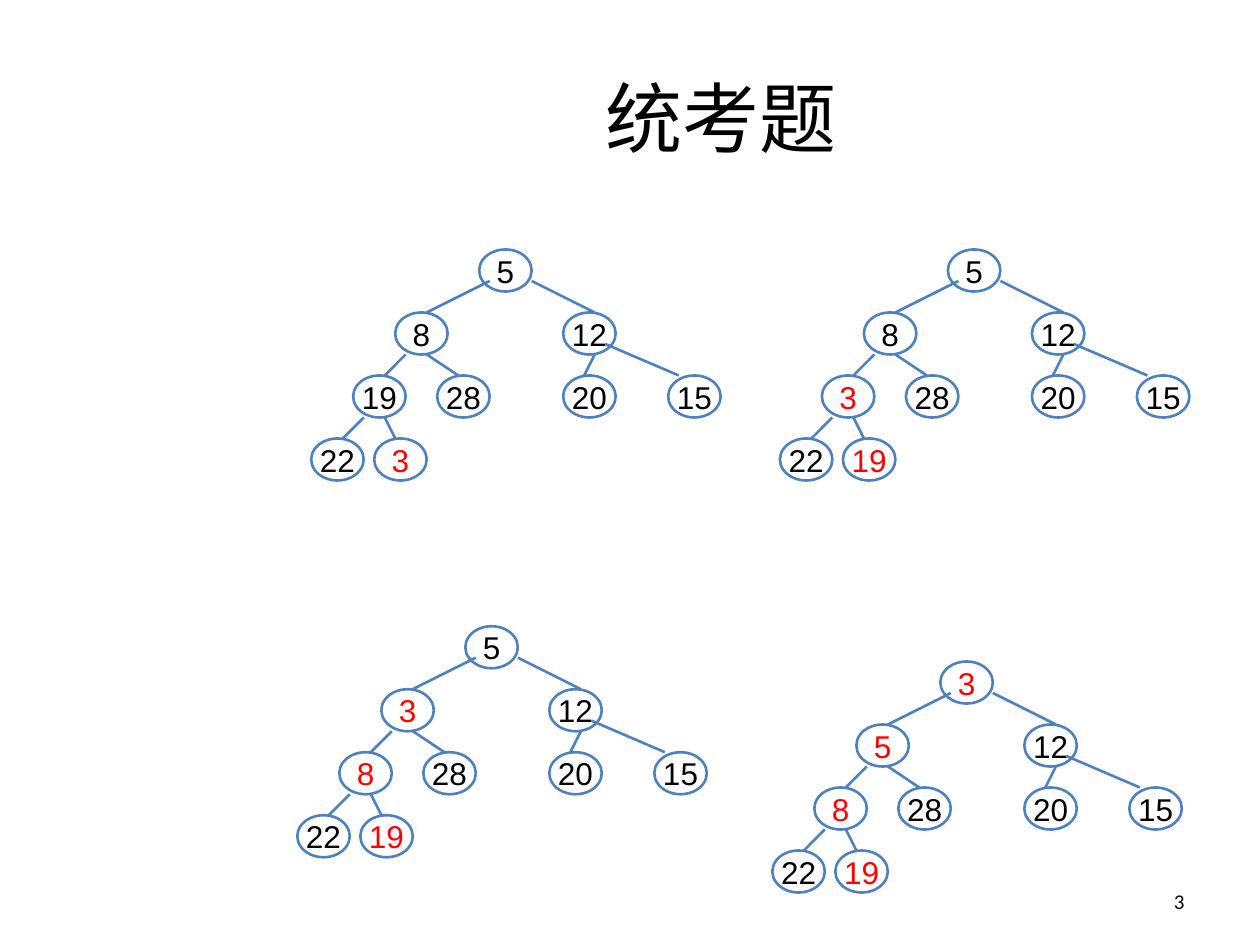
from lxml.etree import SubElement
from pptx import Presentation
from pptx.dml.color import RGBColor
from pptx.enum.shapes import MSO_CONNECTOR, MSO_SHAPE
from pptx.enum.text import MSO_ANCHOR, PP_ALIGN
from pptx.oxml.ns import qn
from pptx.util import Inches, Pt

COLORS = {"text": "000000", "moved": "FF0000", "node": "FFFFFF", "line": "4F81BD"}

# Trees are laid out on a grid of twelfths of an inch.
GRID = 1 / 12
NODE_WIDTH, NODE_HEIGHT = 5 * GRID, 4 * GRID

# Node positions in level order, and the edge (start, end) that leads to each.
NODES = [(16, 0), (8, 6), (24, 6), (4, 12), (12, 12), (24, 12), (34, 12), (0, 18), (6, 18)]
EDGES = [
    None,
    ((17, 3), (11, 6)),
    ((21, 3), (27, 6)),
    ((9, 10), (7, 12)),
    ((11, 10), (14, 12)),
    ((27, 10), (26, 12)),
    ((28, 9), (35, 12)),
    ((5, 16), (3, 18)),
    ((7, 16), (8, 18)),
]

# Left, top, values in level order, values shown as moved.
HEAP_STEPS = [
    (2.47, 1.98, [5, 8, 12, 19, 28, 20, 15, 22, 3], {3}),
    (6.19, 1.98, [5, 8, 12, 3, 28, 20, 15, 22, 19], {3, 19}),
    (2.36, 4.97, [5, 3, 12, 8, 28, 20, 15, 22, 19], {3, 8, 19}),
    (6.13, 5.25, [3, 5, 12, 8, 28, 20, 15, 22, 19], {3, 5, 8, 19}),
]


def rgb(name):
    return RGBColor.from_string(COLORS[name])


def write_text(frame, text, *, size, font="Calibri", color="text",
               align=PP_ALIGN.CENTER, wrap=True):
    frame.word_wrap = wrap
    frame.vertical_anchor = MSO_ANCHOR.MIDDLE
    paragraph = frame.paragraphs[0]
    paragraph.alignment = align
    run = paragraph.add_run()
    run.text = text
    run.font.name = font
    run.font.size = Pt(size)
    run.font.color.rgb = rgb(color)


def style_line(line):
    line.color.rgb = rgb("line")
    line.width = Pt(1.5)


def add_node(slide, left, top, value, color):
    node = slide.shapes.add_shape(MSO_SHAPE.OVAL, Inches(left), Inches(top),
                                  Inches(NODE_WIDTH), Inches(NODE_HEIGHT))
    node.shadow.inherit = False
    node.fill.solid()
    node.fill.fore_color.rgb = rgb("node")
    style_line(node.line)
    write_text(node.text_frame, str(value), size=18, font="Arial", color=color, wrap=False)


def add_edge(slide, start, end):
    edge = slide.shapes.add_connector(MSO_CONNECTOR.STRAIGHT,
                                      *map(Inches, start), *map(Inches, end))
    style_line(edge.line)
    SubElement(edge._element.spPr, qn("a:effectLst"))


def add_heap(slide, left, top, values, moved):
    def place(point):
        return left + point[0] * GRID, top + point[1] * GRID

    for value, position, edge in zip(values, NODES, EDGES):
        add_node(slide, *place(position), value, "moved" if value in moved else "text")
        if edge:
            add_edge(slide, *map(place, edge))


def add_title(slide, text):
    title = slide.shapes.title
    title.left, title.top = Inches(1.95), Inches(0.3)
    title.width, title.height = Inches(7.55), Inches(1.25)
    write_text(title.text_frame, text, size=44)


def add_page_number(slide, text):
    number = slide.shapes.add_textbox(Inches(7.17), Inches(6.95), Inches(2.33), Inches(0.4))
    write_text(number.text_frame, text, size=12, align=PP_ALIGN.RIGHT)


def main():
    deck = Presentation()
    deck.slide_width, deck.slide_height = Inches(10), Inches(7.5)
    slide = deck.slides.add_slide(deck.slide_layouts[5])
    add_title(slide, "统考题")
    add_page_number(slide, "3")
    for step in HEAP_STEPS:
        add_heap(slide, *step)
    deck.save("out.pptx")


if __name__ == "__main__":
    main()
